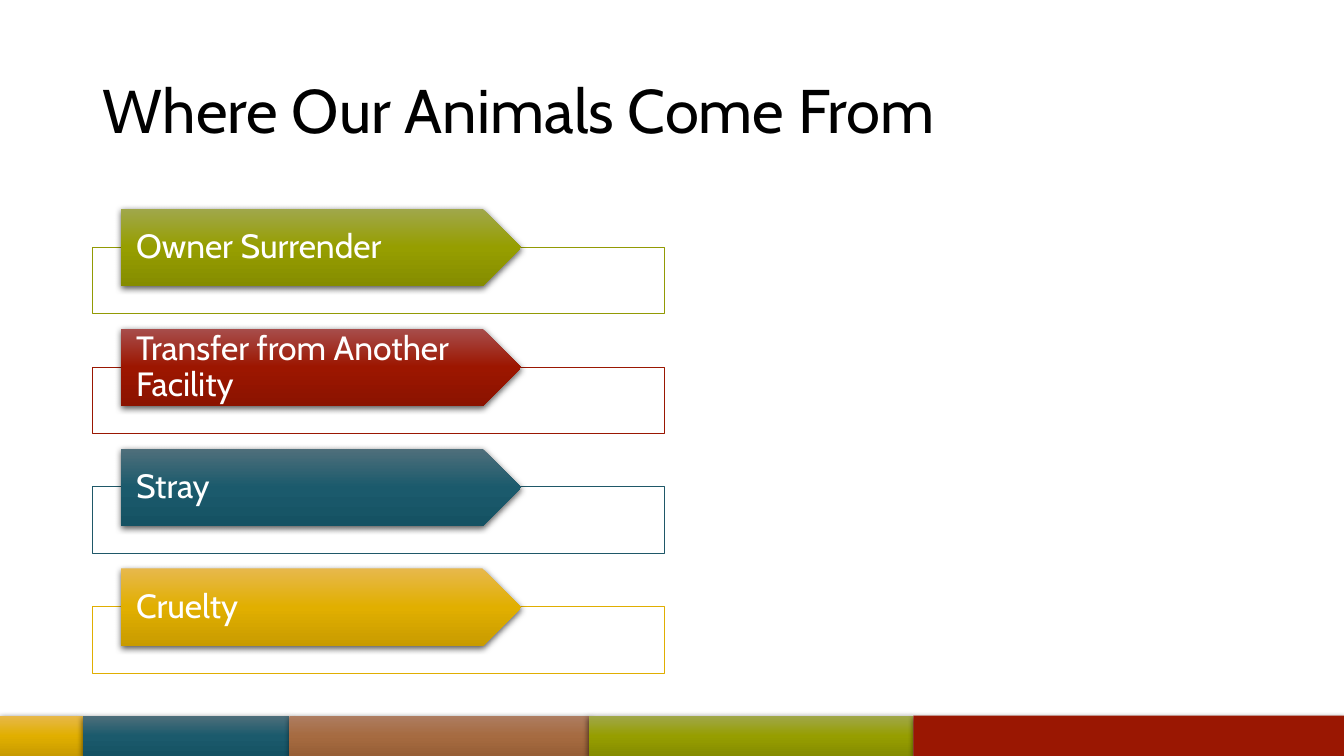
from copy import deepcopy
from dataclasses import dataclass
from itertools import accumulate

from lxml.etree import SubElement
from pptx import Presentation
from pptx.dml.color import RGBColor
from pptx.enum.shapes import MSO_SHAPE
from pptx.enum.text import MSO_ANCHOR, PP_ALIGN
from pptx.oxml.ns import qn
from pptx.util import Inches, Pt


@dataclass(frozen=True)
class Theme:
    font: str = "Cabin"
    title_size: int = 44
    label_size: int = 24
    ink: str = "000000"
    paper: str = "FFFFFF"
    # Top, middle and bottom of each gradient
    green: tuple = ("A0A74B", "969E00", "858C00")
    red: tuple = ("A74D4B", "9C1600", "8B1300")
    teal: tuple = ("4F6F7B", "1B5A6C", "155263")
    gold: tuple = ("E7B84B", "E1AF00", "C89B00")
    brown: tuple = ("AD7D61", "A66B41", "975F36")
    # Flat tones for outlines and the last ribbon block
    green_line: str = "929A04"
    red_flat: str = "9A1702"
    teal_line: str = "1F5868"
    gold_line: str = "E0AE01"


THEME = Theme()

# Source of animals, arrow gradient, frame outline
SOURCES = [
    ("Owner Surrender", THEME.green, THEME.green_line),
    ("Transfer from Another Facility", THEME.red, THEME.red_flat),
    ("Stray", THEME.teal, THEME.teal_line),
    ("Cruelty", THEME.gold, THEME.gold_line),
]
FIRST_ARROW_TOP, ROW_STEP = 2.07, 1.19
ARROW_HEIGHT, FRAME_DROP = 0.77, 0.38

# Width and colour of each ribbon block, left to right
RIBBON = [
    (0.82, THEME.gold),
    (2.05, THEME.teal),
    (2.97, THEME.brown),
    (3.22, THEME.green),
    (4.27, THEME.red_flat),
]


def apply_format(target, values):
    for attribute, value in values.items():
        setattr(target, attribute, value)


def fill_solid(shape, color):
    shape.fill.solid()
    shape.fill.fore_color.rgb = RGBColor.from_string(color)


def fill_gradient(shape, colors):
    shape.fill.gradient()
    shape.fill.gradient_angle = 270
    stops = shape._element.spPr.find(".//" + qn("a:gsLst"))
    stops.insert(1, deepcopy(stops[0]))
    for index, (stop, color) in enumerate(zip(shape.fill.gradient_stops, colors)):
        stop.position = index / 2
        stop.color.rgb = RGBColor.from_string(color)


def add_shadow(shape):
    effects = shape._element.spPr.find(qn("a:effectLst"))
    shadow = SubElement(effects, qn("a:outerShdw"), blurRad=str(Pt(4.5)),
                        dist=str(Pt(1.5)), dir="5400000", rotWithShape="0")
    tone = SubElement(shadow, qn("a:srgbClr"), val=THEME.ink)
    SubElement(tone, qn("a:alpha"), val="63000")


def add_block(slide, kind, left, top, width, height):
    block = slide.shapes.add_shape(kind, Inches(left), Inches(top),
                                   Inches(width), Inches(height))
    block.shadow.inherit = False
    block.line.fill.background()
    return block


def write_text(shape, text, size, color, inset_x, inset_y):
    frame = shape.text_frame
    frame.text = text
    apply_format(frame, {
        "word_wrap": True,
        "vertical_anchor": MSO_ANCHOR.MIDDLE,
        "margin_left": Inches(inset_x),
        "margin_right": Inches(inset_x),
        "margin_top": Inches(inset_y),
        "margin_bottom": Inches(inset_y),
    })
    paragraph = frame.paragraphs[0]
    apply_format(paragraph, {"alignment": PP_ALIGN.LEFT, "line_spacing": 0.9})
    font = paragraph.runs[0].font
    apply_format(font, {"name": THEME.font, "size": Pt(size)})
    font.color.rgb = RGBColor.from_string(color)


def add_ribbon(slide):
    lefts = accumulate((width for width, _ in RIBBON), initial=0)
    for left, (width, color) in zip(lefts, RIBBON):
        block = add_block(slide, MSO_SHAPE.RECTANGLE, left, 7.1, width, 0.4)
        if isinstance(color, tuple):
            fill_gradient(block, color)
        else:
            fill_solid(block, color)
        add_shadow(block)


def add_title(slide, text):
    title = slide.shapes.title
    apply_format(title, {"left": Inches(0.92), "top": Inches(0.4),
                         "width": Inches(11.5), "height": Inches(1.45)})
    write_text(title, text, THEME.title_size, THEME.ink, 0.1, 0.05)


def add_frame(slide, top, outline):
    frame = add_block(slide, MSO_SHAPE.RECTANGLE, 0.92, top, 5.67, 0.66)
    fill_solid(frame, THEME.paper)
    tone = frame._element.spPr.find(qn("a:solidFill"))[0]
    SubElement(tone, qn("a:alpha"), val="90000")
    frame.line.color.rgb = RGBColor.from_string(outline)
    frame.line.width = Pt(0.5)


def add_arrow(slide, top, label, gradient):
    arrow = add_block(slide, MSO_SHAPE.PENTAGON, 1.2, top, 3.97, ARROW_HEIGHT)
    fill_gradient(arrow, gradient)
    add_shadow(arrow)
    write_text(arrow, label, THEME.label_size, THEME.paper, 0.15, 0)


def main():
    deck = Presentation()
    apply_format(deck, {"slide_width": Inches(13.33), "slide_height": Inches(7.5)})
    slide = deck.slides.add_slide(deck.slide_layouts[5])

    # Coloured ribbon along the bottom edge
    add_ribbon(slide)

    add_title(slide, "Where Our Animals Come From")

    # One framed arrow per source
    for row, (label, gradient, outline) in enumerate(SOURCES):
        top = FIRST_ARROW_TOP + row * ROW_STEP
        add_frame(slide, top + FRAME_DROP, outline)
        add_arrow(slide, top, label, gradient)

    deck.save("out.pptx")


if __name__ == "__main__":
    main()
